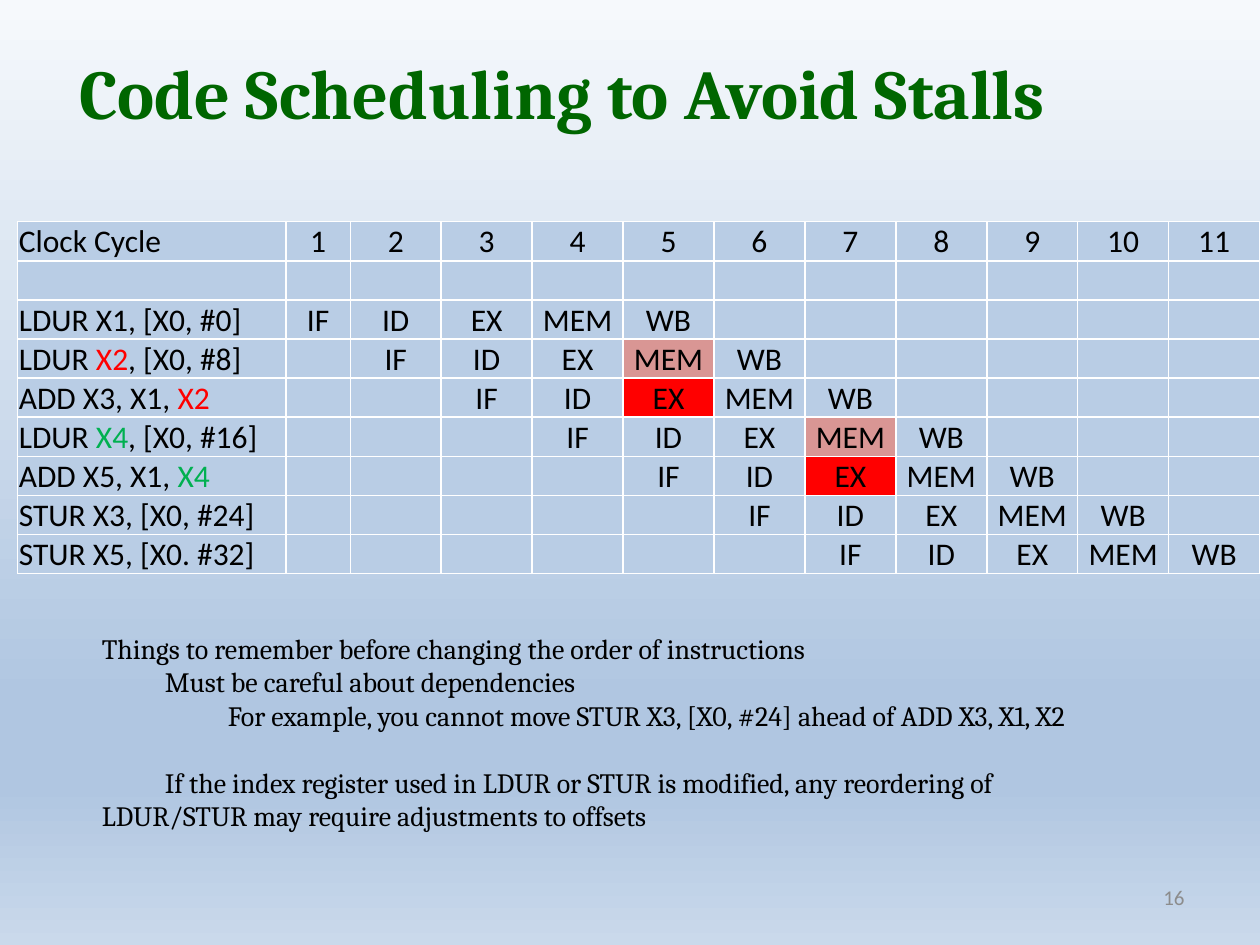
from lxml.etree import SubElement
from pptx import Presentation
from pptx.dml.color import RGBColor
from pptx.enum.text import MSO_ANCHOR as Anchor, MSO_AUTO_SIZE as AutoSize, PP_ALIGN as Align
from pptx.oxml.ns import qn
from pptx.util import Inches, Pt

BLACK = RGBColor(0x00, 0x00, 0x00)
WHITE = RGBColor(0xFF, 0xFF, 0xFF)
GRAY = RGBColor(0x8C, 0x8C, 0x8C)
DARK_GREEN = RGBColor(0x00, 0x66, 0x00)
GREEN = RGBColor(0x00, 0xB0, 0x50)
RED = RGBColor(0xFF, 0x00, 0x00)
PINK = RGBColor(0xD9, 0x96, 0x94)
CELL_BLUE = RGBColor(0xB9, 0xCD, 0xE5)
SKY_STOPS = [
    (0, RGBColor(0xF6, 0xF9, 0xFC)),
    (74, RGBColor(0xB0, 0xC6, 0xE1)),
    (83, RGBColor(0xB0, 0xC6, 0xE1)),
    (100, RGBColor(0xCA, 0xD9, 0xEB)),
]

CYCLES = 11
STAGES = ["IF", "ID", "EX", "MEM", "WB"]
INSTRUCTIONS = [
    [("LDUR X1, [X0, #0]", BLACK)],
    [("LDUR ", BLACK), ("X2", RED), (", [X0, #8]", BLACK)],
    [("ADD X3, X1, ", BLACK), ("X2", RED)],
    [("LDUR ", BLACK), ("X4", GREEN), (", [X0, #16]", BLACK)],
    [("ADD X5, X1, ", BLACK), ("X4", GREEN)],
    [("STUR X3, [X0, #24]", BLACK)],
    [("STUR X5, [X0. #32]", BLACK)],
]
# (instruction index, stage) pairs where a loaded value meets its use
HAZARDS = {(1, "MEM"): PINK, (2, "EX"): RED, (3, "MEM"): PINK, (4, "EX"): RED}

# text, left margin, first-line indent, space before
NOTES = [
    ("Things to remember before changing the order of instructions", 0, 0, 0),
    ("Must be careful about dependencies", 0.5, 0, 0),
    ("For example, you cannot move STUR X3, [X0, #24] ahead of ADD X3, X1, X2", 1, 0, 0),
    ("If the index register used in LDUR or STUR is modified, any reordering of\v"
     "LDUR/STUR may require adjustments to offsets", 0, 0.5, 19),
]


def write(para, text, font="Calibri", size=18, color=BLACK, bold=False, align=Align.LEFT):
    """Append formatted text to a paragraph; a vertical tab breaks the line."""
    para.alignment = align
    for index, line in enumerate(text.split("\v")):
        if index:
            para.add_line_break()
        span = para.add_run()
        span.text = line
        span.font.name = font
        span.font.size = Pt(size)
        span.font.bold = bold
        span.font.color.rgb = color


def paint_background(page):
    fill = page.background.fill
    fill.gradient()
    fill.gradient_angle = 270
    stops = fill._fill._gradFill.find(qn("a:gsLst"))
    for stop in list(stops):
        stops.remove(stop)
    for percent, color in SKY_STOPS:
        stop = SubElement(stops, qn("a:gs"), pos=str(percent * 1000))
        SubElement(stop, qn("a:srgbClr"), val=str(color))


def add_title(page, left, top, width, height):
    title = page.shapes.title
    title.left, title.top, title.width, title.height = left, top, width, height
    frame = title.text_frame
    frame.auto_size = AutoSize.NONE
    frame.vertical_anchor = Anchor.MIDDLE
    write(frame.paragraphs[0], "Code Scheduling to Avoid Stalls",
          font="Cambria", size=40, color=DARK_GREEN, bold=True)


def style_cell(cell):
    cell.margin_left = cell.margin_right = cell.margin_top = Inches(0.01)
    cell.margin_bottom = 0
    cell.vertical_anchor = Anchor.BOTTOM
    props = cell._tc.get_or_add_tcPr()
    for side in ("a:lnL", "a:lnR", "a:lnT", "a:lnB"):
        line = SubElement(props, qn(side), w=str(Pt(1)))
        SubElement(SubElement(line, qn("a:solidFill")), qn("a:srgbClr"), val=str(WHITE))
    cell.fill.solid()
    cell.fill.fore_color.rgb = CELL_BLUE


def add_pipeline(page, left, top, width, height):
    """Clock cycles across, instructions down, each starting one cycle later."""
    first_row = 2
    rows = first_row + len(INSTRUCTIONS)
    table = page.shapes.add_table(rows, CYCLES + 1, left, top, width, height).table
    table.first_row = table.horz_banding = False

    label_width, first_width = Inches(2.13), Inches(0.51)
    cycle_width = (width - label_width - first_width) // (CYCLES - 1)
    widths = [label_width, first_width] + [cycle_width] * (CYCLES - 1)
    for column, column_width in zip(table.columns, widths):
        column.width = column_width
    for row in table.rows:
        row.height = height // rows
    for cell in table.iter_cells():
        style_cell(cell)

    write(table.cell(0, 0).text_frame.paragraphs[0], "Clock Cycle")
    for cycle in range(1, CYCLES + 1):
        write(table.cell(0, cycle).text_frame.paragraphs[0], str(cycle), align=Align.CENTER)
    for index, label in enumerate(INSTRUCTIONS):
        row = first_row + index
        for text, color in label:
            write(table.cell(row, 0).text_frame.paragraphs[0], text, color=color)
        for cycle, stage in enumerate(STAGES, start=index + 1):
            cell = table.cell(row, cycle)
            write(cell.text_frame.paragraphs[0], stage, align=Align.CENTER)
            cell.fill.fore_color.rgb = HAZARDS.get((index, stage), CELL_BLUE)


def add_notes(page, left, top, width, height):
    frame = page.shapes.add_textbox(left, top, width, height).text_frame
    frame.word_wrap = True
    frame.auto_size = AutoSize.SHAPE_TO_FIT_TEXT
    for index, (text, margin, indent, space) in enumerate(NOTES):
        para = frame.add_paragraph() if index else frame.paragraphs[0]
        para.space_before = Pt(space)
        props = para._p.get_or_add_pPr()
        props.set("marL", str(Inches(margin)))
        props.set("indent", str(Inches(indent)))
        write(para, text, font="Cambria", size=16)


def add_page_number(page, left, top, width, height):
    frame = page.shapes.add_textbox(left, top, width, height).text_frame
    frame.word_wrap = True
    frame.vertical_anchor = Anchor.MIDDLE
    write(frame.paragraphs[0], "16", size=12, color=GRAY, align=Align.RIGHT)


def main():
    deck = Presentation()
    deck.slide_width, deck.slide_height = Inches(10), Inches(7.5)
    page = deck.slides.add_slide(deck.slide_layouts.get_by_name("Title Only"))
    paint_background(page)
    add_page_number(page, Inches(7.17), Inches(6.92), Inches(2.33), Inches(0.4))
    add_title(page, Inches(0.53), Inches(0.31), Inches(9.03), Inches(0.83))
    add_pipeline(page, Inches(0.14), Inches(1.76), Inches(9.86), Inches(2.79))
    add_notes(page, Inches(0.71), Inches(4.96), Inches(8.57), Inches(1.72))
    deck.save("out.pptx")


if __name__ == "__main__":
    main()
